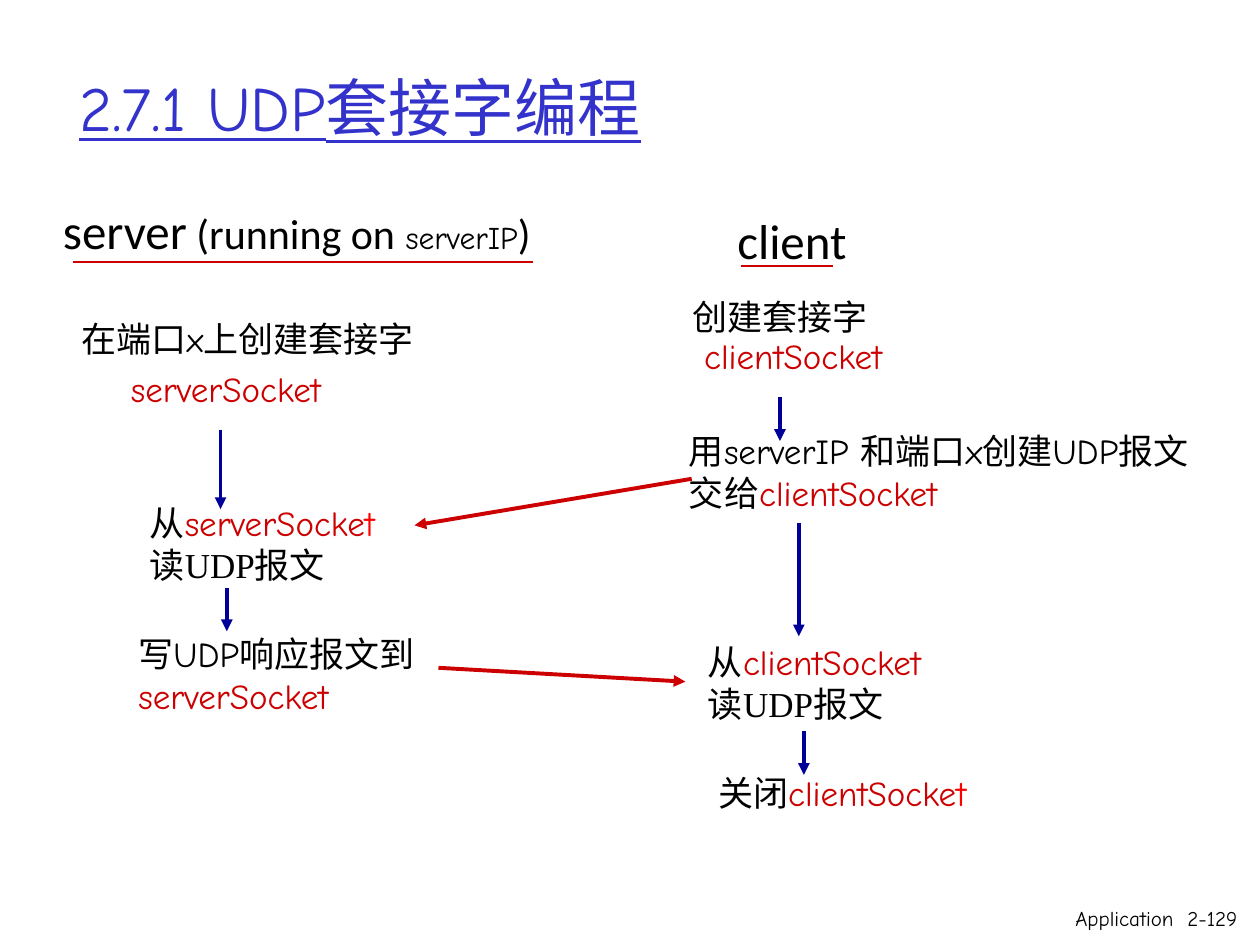
from dataclasses import dataclass

from lxml.etree import SubElement
from pptx import Presentation
from pptx.dml.color import RGBColor
from pptx.enum.shapes import MSO_CONNECTOR as LINK
from pptx.enum.text import MSO_ANCHOR as ANCHOR, MSO_AUTO_SIZE as FIT, PP_ALIGN as ALIGN
from pptx.oxml.ns import qn
from pptx.util import Inches, Pt

BLACK = RGBColor(0x00, 0x00, 0x00)
RED = RGBColor(0xCC, 0x00, 0x00)
BRIGHT = RGBColor(0xFF, 0x00, 0x00)
NAVY = RGBColor(0x00, 0x00, 0x99)
BLUE = RGBColor(0x33, 0x33, 0xCC)
HAND, SANS, SERIF = "Comic Neue", "Calibri", "Times New Roman"
WIDE, HIGH = Inches(10), Inches(7.5)
COL, ROW = WIDE / 100, HIGH / 75
BREAK = "\n"


@dataclass
class Box:
    """A region of the slide, in grid columns and rows."""
    left: float
    top: float
    width: float
    height: float

    def spot(self, x, y):
        """Turn a place in the region into a place on the slide."""
        return round((self.left + x) * COL), round((self.top + y) * ROW)

    def area(self, x, y, width, height):
        """Turn an area of the region into left, top, width and height."""
        return *self.spot(x, y), round(width * COL), round(height * ROW)


def add_run(para, text, color=BLACK, size=20, face=HAND):
    """Add one formatted run, or a line break, to a paragraph."""
    if text == BREAK:
        para.add_line_break()
        return None
    run = para.add_run()
    run.text = text
    font = run.font
    font.size, font.name = Pt(size), face
    font.color.rgb = color
    return run


def add_text(slide, place, *paras, wrap=False, align=ALIGN.LEFT,
             anchor=ANCHOR.MIDDLE, fit=FIT.SHAPE_TO_FIT_TEXT, pitch=None):
    """Add a text box whose paragraphs are lists of runs."""
    frame = slide.shapes.add_textbox(*place).text_frame
    frame.word_wrap, frame.auto_size = wrap, fit
    frame.vertical_anchor = anchor
    for i, runs in enumerate(paras):
        para = frame.add_paragraph() if i else frame.paragraphs[0]
        para.alignment, para.line_spacing = align, pitch
        for run in runs:
            add_run(para, *run)


def add_line(slide, start, end, color, weight=2.25, arrow=True):
    """Add a straight line, with an arrowhead at its end if wanted."""
    line = slide.shapes.add_connector(LINK.STRAIGHT, *start, *end)
    line.line.color.rgb, line.line.width = color, Pt(weight)
    props = line._element.spPr
    if arrow:
        SubElement(props.find(qn("a:ln")), qn("a:tailEnd"), type="triangle")
    SubElement(props, qn("a:effectLst"))


def add_steps(slide, box, steps):
    """Draw the downward arrows of a region as (x, top, length)."""
    for x, top, size in steps:
        add_line(slide, box.spot(x, top), box.spot(x, top + size), NAVY)


def add_rule(slide, box, start, end, y):
    """Underline the heading of a region."""
    add_line(slide, box.spot(start, y), box.spot(end, y), RED, 1.5, False)


def add_title(slide, box):
    """Place and format the slide title."""
    title = slide.shapes.title
    title.left, title.top, title.width, title.height = box.area(0, 0, box.width, box.height)
    frame = title.text_frame
    frame.vertical_anchor = ANCHOR.MIDDLE
    para = frame.paragraphs[0]
    para.alignment = ALIGN.LEFT
    run = add_run(para, "2.7.1 UDP套接字编程", BLUE, 36)
    run.font.underline = True


def add_server(slide, box):
    """Draw the server's heading and steps."""
    add_text(slide, box.area(1.8, 0.4, 43.5, 5.7),
             [("server", BLACK, 28, SANS), (" (running on", BLACK, 24, SANS),
              (" serverIP", BLACK, 18), (")", BLACK, 24, SANS)], align=ALIGN.CENTER)
    add_rule(slide, box, 5.8, 42.3, 5.8)
    add_text(slide, box.area(5.5, 9.7, 29.7, 4.4), [("在端口x上创建套接字",)])
    add_text(slide, box.area(9.4, 14.2, 18.1, 3.8), [("serverSocket", RED)], pitch=Pt(20))
    add_text(slide, box.area(10.9, 24.3, 20.6, 7.7),
             [("从",), ("serverSocke", RED), ("t", BRIGHT)],
             [("读UDP报文", BLACK, 20, SERIF)])
    add_text(slide, box.area(10, 33, 25.2, 11),
             [("写UDP响应报文到",)], [("serverSocket", RED)], wrap=True)
    add_steps(slide, box, [(17.5, 19.1, 6.3), (18, 31.7, 3.4)])


def add_client(slide, box):
    """Draw the client's heading and steps."""
    add_text(slide, box.area(6.8, 1.2, 12.1, 5.7), [("client", BLACK, 28, SANS)],
             wrap=True, align=ALIGN.CENTER)
    add_rule(slide, box, 8.8, 16.1, 6.1)
    add_text(slide, box.area(4, 7.9, 19.4, 4.4), [("创建套接字",)], wrap=True)
    add_text(slide, box.area(4.9, 11.6, 17.1, 3.8), [("clientSocket", RED)], pitch=Pt(20))
    add_text(slide, box.area(3.7, 18.6, 45.7, 7.7),
             [("用serverIP 和端口x创建UDP报文",), (BREAK,), ("交给",), ("clientSocket", RED)])
    add_text(slide, box.area(5.2, 35.3, 21.9, 7.7),
             [("从",), ("clientSocket", RED)],
             [("读UDP报文", BLACK, 20, SERIF)], wrap=True)
    add_text(slide, box.area(6, 45.7, 24.5, 4.4),
             [("关闭",), ("clientSocke", RED), ("t", BRIGHT)], wrap=True)
    add_steps(slide, box, [(11.9, 16.5, 3.5), (13.4, 26.5, 9), (13.8, 43, 3.5)])


def add_swap(slide, box):
    """Draw the request and reply arrows between client and server."""
    add_line(slide, box.spot(22, 0), box.spot(0, 3.7), RED)
    add_line(slide, box.spot(1.9, 15), box.spot(21.5, 16.1), RED)


def add_foot(slide, box):
    """Write the chapter name and page number."""
    add_text(slide, box.area(0, 0, box.width, box.height),
             [("Application  2-129", BLACK, 12)], wrap=True,
             align=ALIGN.RIGHT, anchor=ANCHOR.TOP, fit=FIT.NONE)


def main():
    """Build and save the slide."""
    deck = Presentation()
    deck.slide_width, deck.slide_height = WIDE, HIGH
    slide = deck.slides.add_slide(deck.slide_layouts[5])
    add_title(slide, Box(5.3, 2.2, 85, 12.5))
    add_server(slide, Box(0, 15, 50, 45))
    add_client(slide, Box(50, 15, 50, 51))
    add_swap(slide, Box(32.9, 38, 22, 16.1))
    add_foot(slide, Box(83.3, 71.4, 15.9, 3.1))
    deck.save("out.pptx")


if __name__ == "__main__":
    main()
